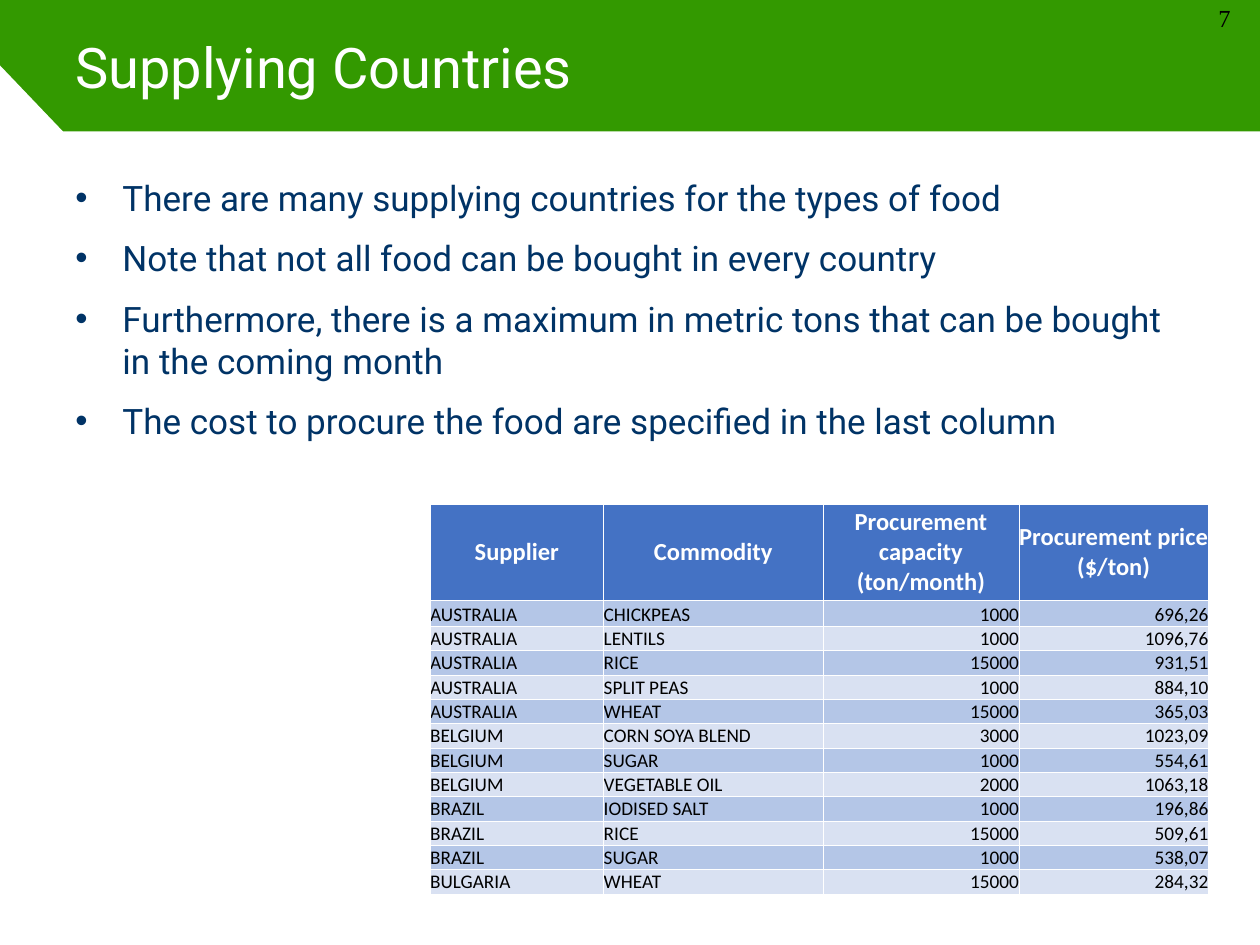
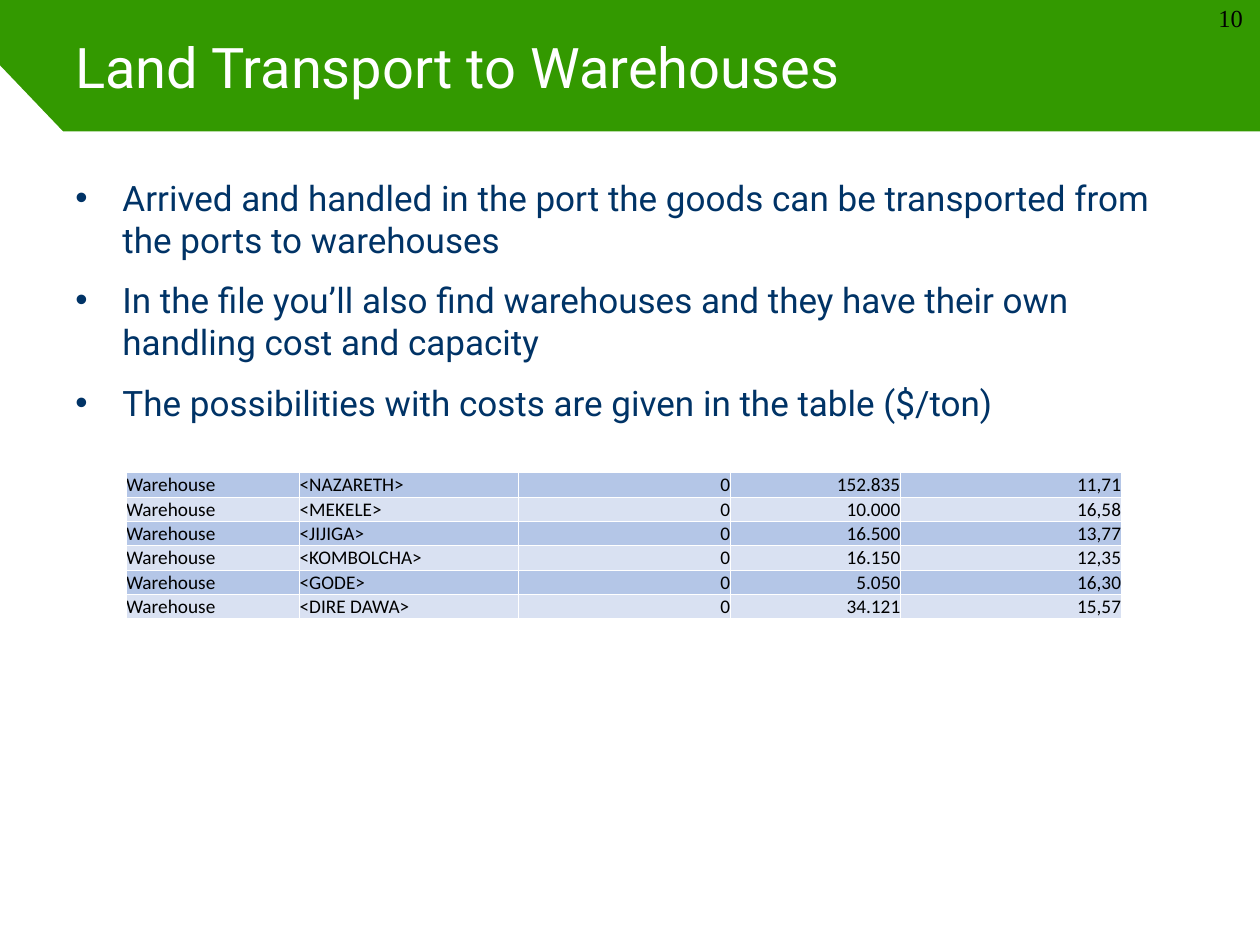
"""Build the supplying-countries and land-transport slides."""

from lxml.etree import SubElement
from pptx import Presentation
from pptx.dml.color import RGBColor
from pptx.enum.text import MSO_ANCHOR as Anchor, PP_ALIGN as Align
from pptx.oxml.ns import qn
from pptx.util import Cm, Pt

GREEN, WHITE, BLACK, NAVY = "339900", "FFFFFF", "000000", "003366"
HEADER_BLUE, BANDS, BORDER = "4472C4", ("B4C6E7", "D9E1F2"), "FFFFFF"

WIDTH, HEIGHT = 25.4, 19.05
MARGIN, BAND_HEIGHT, NOTCH_TOP = 1.27, 2.65, 1.32
PANEL = [(MARGIN, BAND_HEIGHT), (0, NOTCH_TOP), (0, HEIGHT), (WIDTH, HEIGHT), (WIDTH, BAND_HEIGHT)]
TITLE_BOX = (MARGIN, 0, WIDTH - 2 * MARGIN, BAND_HEIGHT)
BODY_BOX = (MARGIN, 3.43, WIDTH - 2 * MARGIN, 13)
NUMBER_BOX = (24.31, 0, 1.09, 0.79)
BULLET_INDENT = 0.95

NUMBER_FONT = {"name": "Times New Roman", "size": Pt(14)}
TITLE_FONT = {"name": "Roboto", "size": Pt(32)}
BODY_FONT = {"name": "Roboto", "size": Pt(20)}
HEADER_FONT = {"name": "Calibri", "size": Pt(14), "bold": True}
CELL_FONT = {"name": "Calibri", "size": Pt(11), "bold": False}
NO_MARGINS = {"margin_left": 0, "margin_right": 0, "margin_top": 0, "margin_bottom": 0}

HEADER_HEIGHT, ROW_HEIGHT = 1.94, 0.49

SLIDES = [
    {
        "number": "7",
        "title": "Supplying Countries",
        "bullets": [
            "There are many supplying countries for the types of food",
            "Note that not all food can be bought in every country",
            "Furthermore, there is a maximum in metric tons that can be bought in the coming month",
            "The cost to procure the food are specified in the last column",
        ],
        "table_at": (8.67, 10.16),
        "columns": [3.5, 4.42, 3.95, 3.82],
        "header": ["Supplier", "Commodity", "Procurement capacity (ton/month)", "Procurement price ($/ton)"],
        "first_row_height": 0.53,
        "rows": [
            ("AUSTRALIA", "CHICKPEAS", "1000", "696,26"),
            ("AUSTRALIA", "LENTILS", "1000", "1096,76"),
            ("AUSTRALIA", "RICE", "15000", "931,51"),
            ("AUSTRALIA", "SPLIT PEAS", "1000", "884,10"),
            ("AUSTRALIA", "WHEAT", "15000", "365,03"),
            ("BELGIUM", "CORN SOYA BLEND", "3000", "1023,09"),
            ("BELGIUM", "SUGAR", "1000", "554,61"),
            ("BELGIUM", "VEGETABLE OIL", "2000", "1063,18"),
            ("BRAZIL", "IODISED SALT", "1000", "196,86"),
            ("BRAZIL", "RICE", "15000", "509,61"),
            ("BRAZIL", "SUGAR", "1000", "538,07"),
            ("BULGARIA", "WHEAT", "15000", "284,32"),
        ],
    },
    {
        "number": "10",
        "title": "Land Transport to Warehouses",
        "bullets": [
            "Arrived and handled in the port the goods can be transported from the ports to warehouses",
            "In the file you’ll also find warehouses and they have their own handling cost and capacity",
            "The possibilities with costs are given in the table ($/ton)",
        ],
        "table_at": (2.54, 9.53),
        "columns": [3.5, 4.42, 4.26, 3.43, 4.45],
        "header": [],
        "first_row_height": ROW_HEIGHT,
        "rows": [
            ("Warehouse", "<NAZARETH>", "0", "152.835", "11,71"),
            ("Warehouse", "<MEKELE>", "0", "10.000", "16,58"),
            ("Warehouse", "<JIJIGA>", "0", "16.500", "13,77"),
            ("Warehouse", "<KOMBOLCHA>", "0", "16.150", "12,35"),
            ("Warehouse", "<GODE>", "0", "5.050", "16,30"),
            ("Warehouse", "<DIRE DAWA>", "0", "34.121", "15,57"),
        ],
    },
]


def set_values(target, values):
    for name, value in values.items():
        setattr(target, name, value)


def set_fill(fill, color):
    fill.solid()
    fill.fore_color.rgb = RGBColor.from_string(color)


def write(paragraph, text, font, color, **values):
    paragraph.text = text
    set_values(paragraph, values)
    set_values(paragraph.font, font)
    paragraph.font.color.rgb = RGBColor.from_string(color)


def add_text_frame(slide, box, **values):
    frame = slide.shapes.add_textbox(*map(Cm, box)).text_frame
    set_values(frame, {"word_wrap": True, **values})
    return frame


def add_panel(slide):
    points = [(Cm(x), Cm(y)) for x, y in PANEL]
    builder = slide.shapes.build_freeform(*points[0])
    builder.add_line_segments(points[1:], close=True)
    shape = builder.convert_to_shape()
    shape.shadow.inherit = False
    set_fill(shape.fill, WHITE)
    shape.line.fill.background()


def add_bullets(slide, bullets):
    frame = add_text_frame(slide, BODY_BOX)
    for index, text in enumerate(bullets):
        paragraph = frame.add_paragraph() if index else frame.paragraphs[0]
        properties = paragraph._p.get_or_add_pPr()
        properties.set("marL", str(Cm(BULLET_INDENT)))
        properties.set("indent", str(-Cm(BULLET_INDENT)))
        SubElement(properties, qn("a:buFont"), typeface="Arial")
        SubElement(properties, qn("a:buChar"), char="•")
        write(paragraph, text, BODY_FONT, NAVY,
              space_before=Pt(4.5 if index else 0), space_after=Pt(6))


def add_borders(cell):
    properties = cell._tc.get_or_add_tcPr()
    for side in ("lnL", "lnR", "lnT", "lnB"):
        line = SubElement(properties, qn(f"a:{side}"), w=str(Pt(0.5)))
        SubElement(SubElement(line, qn("a:solidFill")), qn("a:srgbClr"), val=BORDER)


def format_cell(cell, text, fill, font, color, align, anchor):
    add_borders(cell)
    set_fill(cell.fill, fill)
    set_values(cell, {**NO_MARGINS, "vertical_anchor": anchor})
    write(cell.text_frame.paragraphs[0], text, font, color, alignment=align)


def add_table(slide, content):
    header, rows, columns = content["header"], content["rows"], content["columns"]
    heights = [content["first_row_height"]] + [ROW_HEIGHT] * (len(rows) - 1)
    if header:
        heights.insert(0, HEADER_HEIGHT)
    size = (sum(columns), sum(heights))
    table = slide.shapes.add_table(len(heights), len(columns),
                                   *map(Cm, content["table_at"] + size)).table
    set_values(table, {"first_row": bool(header), "horz_banding": False})
    for column, width in zip(table.columns, columns):
        column.width = Cm(width)
    for row, height in zip(table.rows, heights):
        row.height = Cm(height)
    for column, text in enumerate(header):
        format_cell(table.cell(0, column), text, HEADER_BLUE, HEADER_FONT, WHITE,
                    Align.CENTER, Anchor.MIDDLE)
    first = len(heights) - len(rows)
    for index, values in enumerate(rows):
        for column, text in enumerate(values):
            format_cell(table.cell(first + index, column), text, BANDS[index % 2], CELL_FONT,
                        BLACK, Align.LEFT if column < 2 else Align.RIGHT, Anchor.BOTTOM)


def add_slide(presentation, content):
    slide = presentation.slides.add_slide(presentation.slide_layouts[6])
    number = add_text_frame(slide, NUMBER_BOX, word_wrap=False)
    write(number.paragraphs[0], content["number"], NUMBER_FONT, BLACK, line_spacing=0.9)
    add_panel(slide)
    title = add_text_frame(slide, TITLE_BOX, vertical_anchor=Anchor.MIDDLE)
    write(title.paragraphs[0], content["title"], TITLE_FONT, WHITE)
    add_bullets(slide, content["bullets"])
    add_table(slide, content)


def main():
    presentation = Presentation()
    set_values(presentation, {"slide_width": Cm(WIDTH), "slide_height": Cm(HEIGHT)})
    set_fill(presentation.slide_master.background.fill, GREEN)
    for content in SLIDES:
        add_slide(presentation, content)
    presentation.save("out.pptx")


if __name__ == "__main__":
    main()
